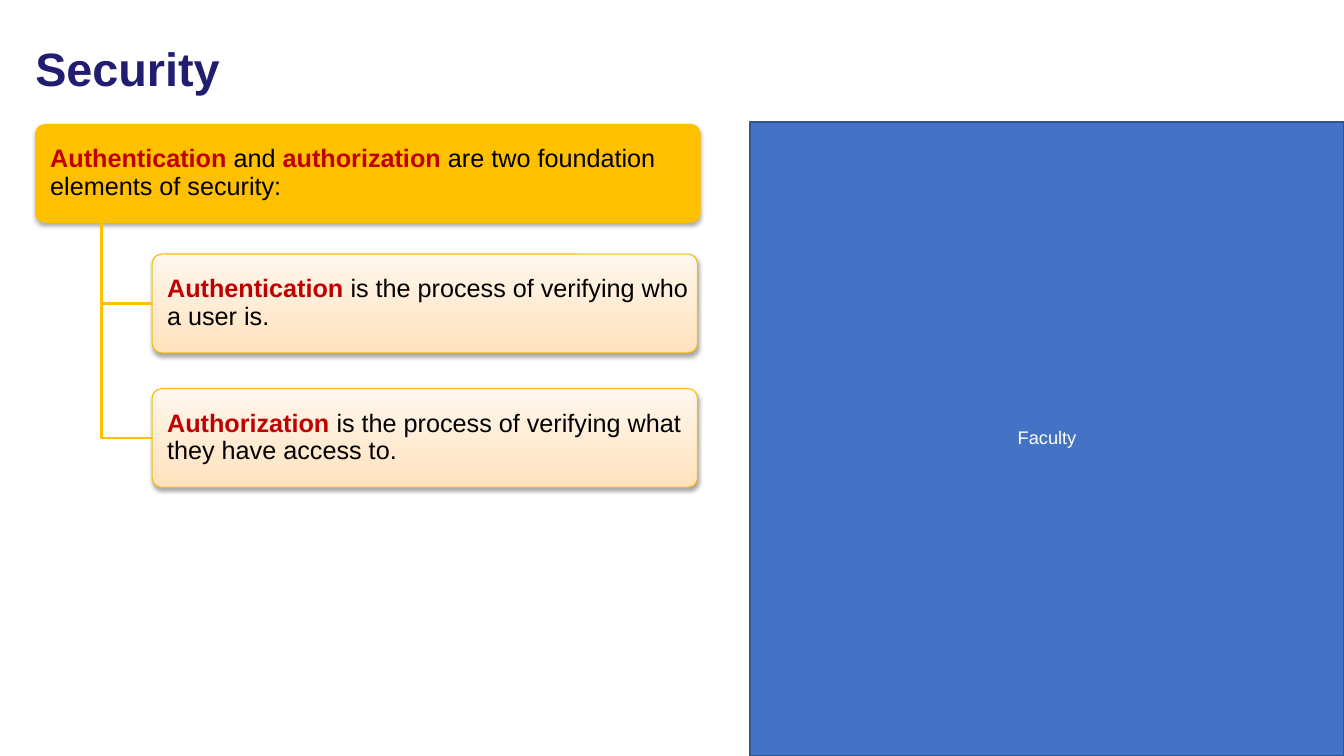
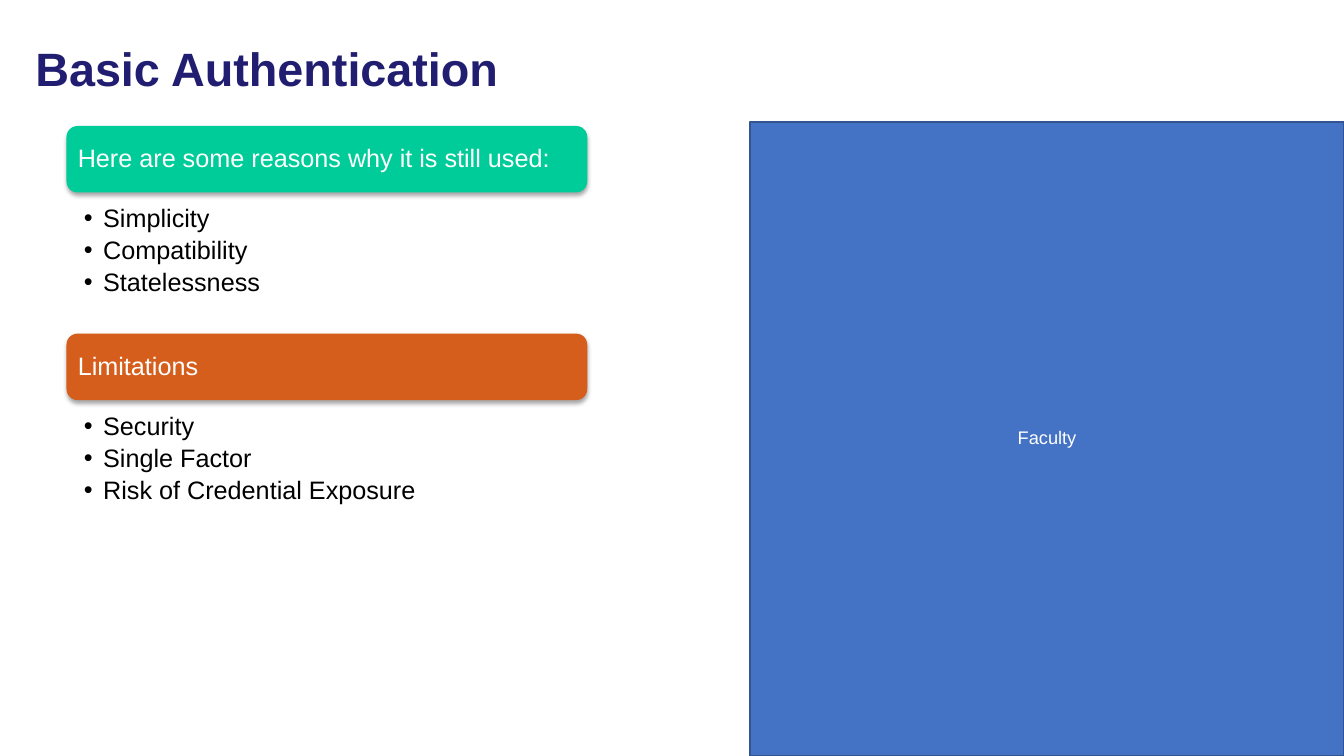
"""Build two slides on authentication and authorization."""
import lxml.etree
import pptx
import pptx.dml.color
import pptx.enum.shapes
import pptx.enum.text
import pptx.oxml.ns
import pptx.util

COLORS = {
    "title": "211D70",
    "panel": "4472C4",
    "panel_edge": "325491",
    "amber": "FFC000",
    "amber_edge": "F9BC00",
    "cream_dark": "FFE2BD",
    "cream_light": "FFF7EE",
    "green": "00CC99",
    "orange": "D65E1C",
    "keyword": "C00000",
    "black": "000000",
    "white": "FFFFFF",
}
FONT = "Arial"
WIDTH = pptx.util.Inches(13.33)
HEIGHT = pptx.util.Inches(7.5)
COLUMN = WIDTH / 40
ROW = HEIGHT / 30
SHAPES = pptx.enum.shapes.MSO_SHAPE
ALIGN = pptx.enum.text.PP_ALIGN
ANCHOR = pptx.enum.text.MSO_ANCHOR
TITLE_ONLY, TWO_CONTENT = 5, 3


def color(name):
    return pptx.dml.color.RGBColor.from_string(COLORS[name])


def cells(left, top, width, height):
    return [round(n * unit) for n, unit in zip((left, top, width, height), (COLUMN, ROW) * 2)]


def place(shape, *area):
    shape.left, shape.top, shape.width, shape.height = cells(*area)


def set_frame(frame, anchor, insets):
    frame.word_wrap = True
    frame.auto_size = pptx.enum.text.MSO_AUTO_SIZE.NONE
    frame.vertical_anchor = anchor
    (frame.margin_left, frame.margin_top,
     frame.margin_right, frame.margin_bottom) = map(pptx.util.Inches, insets)


def style_paragraph(para, size, tone, bold=False, align=ALIGN.LEFT, after=0):
    para.alignment = align
    para.line_spacing = 0.9
    para.space_before = pptx.util.Pt(0)
    para.space_after = pptx.util.Pt(after)
    for span in para.runs:
        span.font.name = FONT
        span.font.size = pptx.util.Pt(size)
        span.font.bold = bold
        span.font.color.rgb = color(tone)


def add_box(page, kind, area, fill, edge=None, edge_width=1):
    box = page.shapes.add_shape(kind, *cells(*area))
    box.shadow.inherit = False
    if isinstance(fill, tuple):
        box.fill.gradient()
        box.fill.gradient_angle = 90
        for stop, tone in zip(box.fill.gradient_stops, fill):
            stop.color.rgb = color(tone)
    else:
        box.fill.solid()
        box.fill.fore_color.rgb = color(fill)
    if edge:
        box.line.color.rgb = color(edge)
        box.line.width = pptx.util.Pt(edge_width)
    else:
        box.line.fill.background()
    return box


def add_shadow(box):
    qn = pptx.oxml.ns.qn
    effects = box.element.spPr.find(qn("a:effectLst"))
    shadow = lxml.etree.SubElement(
        effects, qn("a:outerShdw"), blurRad="40000", dist="23000",
        dir="5400000", rotWithShape="0")
    tone = lxml.etree.SubElement(shadow, qn("a:srgbClr"), val=COLORS["black"])
    lxml.etree.SubElement(tone, qn("a:alpha"), val="35000")


def add_card(page, area, text, fill, edge=None):
    """Add a rounded card; parts of the text between asterisks are keywords."""
    card = add_box(page, SHAPES.ROUNDED_RECTANGLE, area, fill, edge, 0.75)
    card.adjustments[0] = 0.1
    add_shadow(card)
    set_frame(card.text_frame, ANCHOR.MIDDLE, (0.12, 0.03, 0.04, 0.03))
    para = card.text_frame.paragraphs[0]
    parts = text.split("*")
    for part in parts:
        para.add_run().text = part
    style_paragraph(para, 18, "black")
    for span in para.runs[1::2]:
        span.font.bold = True
        span.font.color.rgb = color("keyword")
    for span in para.runs:
        if not span.text:
            para._p.remove(span._r)
    return card


def add_branch(page, parent, child):
    trunk = round(parent.left + parent.width / 10)
    middle = child.top + child.height // 2
    builder = page.shapes.build_freeform(trunk, parent.top + parent.height)
    builder.add_line_segments([(trunk, middle), (child.left, middle)], close=False)
    branch = builder.convert_to_shape()
    branch.shadow.inherit = False
    branch.fill.background()
    branch.line.color.rgb = color("amber")
    branch.line.width = pptx.util.Pt(2)


def add_heading(page, area, text, fill):
    heading = add_box(page, SHAPES.ROUNDED_RECTANGLE, area, fill)
    add_shadow(heading)
    set_frame(heading.text_frame, ANCHOR.MIDDLE, (0.08, 0, 0.08, 0))
    heading.text_frame.text = text
    style_paragraph(heading.text_frame.paragraphs[0], 18, "white")


def fill_list(body, area, items):
    place(body, *area)
    set_frame(body.text_frame, ANCHOR.TOP, (0.5, 0.46, 0.5, 0.14))
    body.text_frame.text = "\n".join(items)
    indent = pptx.util.Inches(0.19)
    for para in body.text_frame.paragraphs:
        style_paragraph(para, 18, "black", after=3.4)
        properties = para._p.get_or_add_pPr()
        properties.set("marL", str(indent))
        properties.set("indent", str(-indent))


def start_page(deck, layout, text):
    page = deck.slides.add_slide(deck.slide_layouts[layout])
    title = page.shapes.title
    place(title, 0.75, 1, 35.44, 3.64)
    set_frame(title.text_frame, ANCHOR.MIDDLE, (0.1, 0.05, 0.1, 0.05))
    title.text_frame.text = text
    style_paragraph(title.text_frame.paragraphs[0], 33.4, "title", bold=True)

    panel = add_box(page, SHAPES.RECTANGLE, (22.32, 4.84, 17.68, 25.16), "panel", "panel_edge", 2)
    panel.text_frame.text = "Faculty"
    set_frame(panel.text_frame, ANCHOR.MIDDLE, (0.1, 0.05, 0.1, 0.05))
    style_paragraph(panel.text_frame.paragraphs[0], 13, "white", align=ALIGN.CENTER)
    return page


def build_security(deck):
    page = start_page(deck, TITLE_ONLY, "Security")
    root = add_card(
        page, (1.05, 4.92, 19.8, 3.92),
        "*Authentication* and *authorization* are two foundation elements of security:",
        "amber")
    definitions = (
        "*Authentication* is the process of verifying who a user is.",
        "*Authorization* is the process of verifying what they have access to.",
    )
    for index, text in enumerate(definitions):
        card = add_card(page, (4.53, 10.08 + 5.34 * index, 16.23, 3.92), text,
                        ("cream_dark", "cream_light"), "amber_edge")
        add_branch(page, root, card)


def build_basic_authentication(deck):
    page = start_page(deck, TWO_CONTENT, "Basic Authentication")
    groups = (
        ("Here are some reasons why it is still used:", "green",
         ("Simplicity", "Compatibility", "Statelessness")),
        ("Limitations", "orange",
         ("Security", "Single Factor", "Risk of Credential Exposure")),
    )
    for index, (heading, fill, items) in enumerate(groups):
        top = 5 + 8.24 * index
        fill_list(page.placeholders[index + 1], (1, top + 1.34, 19.26, 5.92), items)
        add_heading(page, (1.98, top, 15.5, 2.64), heading, fill)


def main():
    deck = pptx.Presentation()
    deck.slide_width, deck.slide_height = WIDTH, HEIGHT
    build_security(deck)
    build_basic_authentication(deck)
    deck.save("out.pptx")


if __name__ == "__main__":
    main()
